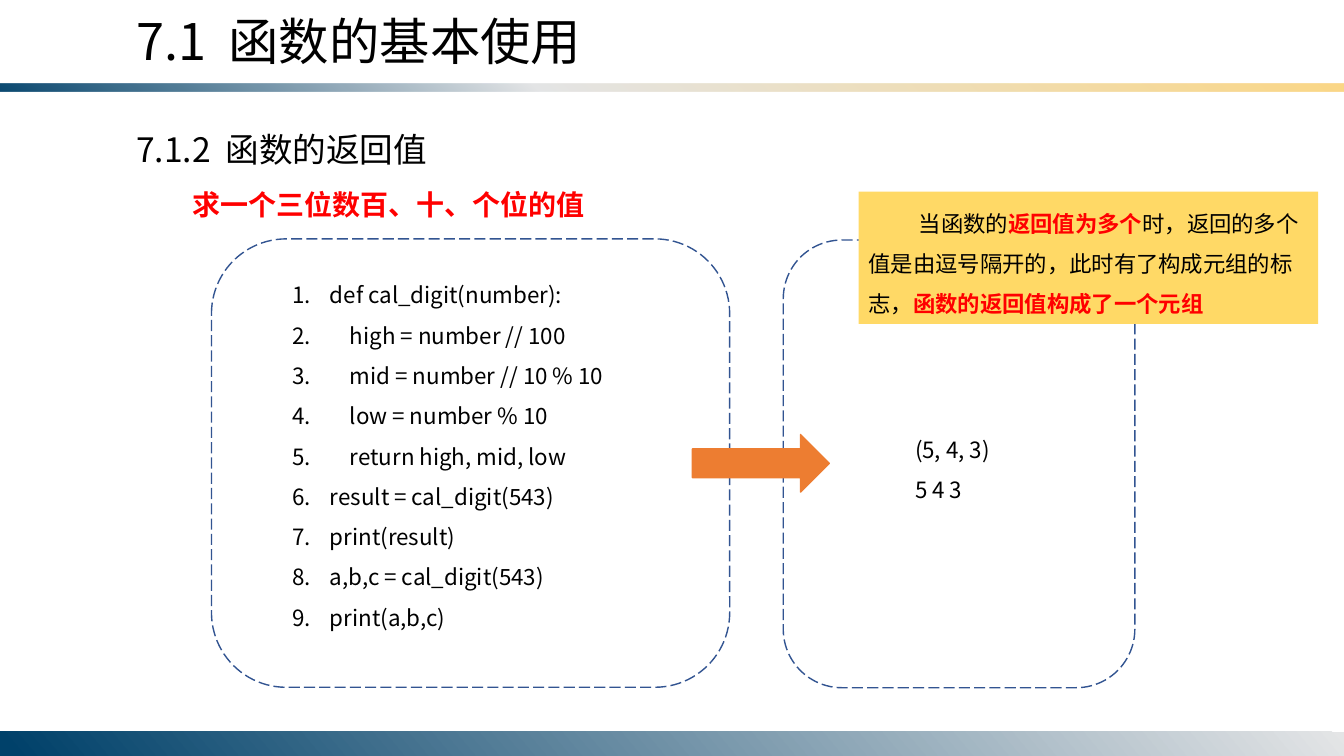
from lxml.etree import SubElement
from pptx import Presentation
from pptx.dml.color import RGBColor
from pptx.enum.dml import MSO_LINE_DASH_STYLE as Dash
from pptx.enum.shapes import MSO_SHAPE as Shape
from pptx.enum.text import MSO_ANCHOR as Anchor, MSO_AUTO_SIZE as AutoSize, PP_ALIGN as Align
from pptx.oxml.ns import qn
from pptx.util import Cm, Pt

FONT = "Noto Sans CJK SC"
COLORS = {
    "black": "000000", "red": "FF0000", "outline": "325491", "orange": "ED7D31",
    "yellow": "FFD966", "navy": "00416A", "grey": "E4E5E6", "sand": "FBD786",
}


def add_shape(kind, left, top, width, height, fill=None, line=None):
    shape = page.shapes.add_shape(kind, Cm(left), Cm(top), Cm(width), Cm(height))
    shape.shadow.inherit = False
    for part, color in ((shape.fill, fill), (shape.line.fill, line)):
        if color:
            part.solid()
            part.fore_color.rgb = RGBColor.from_string(COLORS[color])
        else:
            part.background()
    if line:
        shape.line.width = Pt(1)
    return shape


def write_text(box, lines, size, spacing=1.0, indent=0, numbered=False):
    frame = box.text_frame
    frame.word_wrap = True
    frame.auto_size = AutoSize.NONE
    frame.vertical_anchor = Anchor.TOP
    for index, pieces in enumerate(lines):
        para = frame.add_paragraph() if index else frame.paragraphs[0]
        properties = para._p.get_or_add_pPr()
        properties.set("marL", str(Cm(0.95) if numbered else 0))
        properties.set("indent", str(Cm(-0.95) if numbered else Cm(indent)))
        if numbered:
            SubElement(properties, qn("a:buAutoNum"), type="arabicPeriod")
        para.alignment = Align.LEFT
        para.line_spacing = spacing
        para.space_before = Pt(0)
        for text, color in pieces:
            span = para.add_run()
            span.text = text
            span.font.size = Pt(size)
            span.font.bold = color == "red"
            span.font.color.rgb = RGBColor.from_string(COLORS[color])
            span.font.name = FONT
            SubElement(span._r.get_or_add_rPr(), qn("a:ea"), typeface=FONT)
            if text == " ":
                span._r.get_or_add_rPr().set("spc", str(size * 22))


deck = Presentation()
deck.slide_width, deck.slide_height = Cm(33.87), Cm(19.05)
page = deck.slides.add_slide(deck.slide_layouts[1])
title, code = page.placeholders

bars = [
    (2.11, 0.2, 50, [(0, "navy", 95), (40, "grey", 100), (100, "sand", 100)]),
    (18.44, 0.61, 140, [(0, "grey", 100), (99, "navy", 100)]),
]
for top, height, angle, stops in bars:
    bar = add_shape(Shape.RECTANGLE, 0, top, 33.87, height)
    bar.fill.gradient()
    gradient = bar._element.spPr.find(qn("a:gradFill"))
    for child in list(gradient):
        gradient.remove(child)
    stop_list = SubElement(gradient, qn("a:gsLst"))
    for position, color, opacity in stops:
        stop = SubElement(stop_list, qn("a:gs"), pos=str(position * 1000))
        tint = SubElement(stop, qn("a:srgbClr"), val=COLORS[color])
        SubElement(tint, qn("a:alpha"), val=str(opacity * 1000))
    SubElement(gradient, qn("a:lin"), ang=str(angle * 60000), scaled="0")
    if angle == 50:
        bar._element.spPr.find(qn("a:xfrm")).set("flipV", "1")

for left, top, width, height in [(5.33, 6.02, 13.06, 11.3), (19.74, 6.05, 8.86, 11.28)]:
    panel = add_shape(Shape.ROUNDED_RECTANGLE, left, top, width, height, line="outline")
    panel.line.dash_style = Dash.LONG_DASH

title.left, title.top, title.width, title.height = Cm(3.18), Cm(0.13), Cm(15.54), Cm(1.8)
write_text(title, [[("7.1", "black"), (" ", "black"), ("函数的基本使用", "black")]], 36)

code.left, code.top, code.width, code.height = Cm(7.11), Cm(6.63), Cm(9.5), Cm(9.47)
code_lines = [
    "def cal_digit(number):",
    "    high = number // 100",
    "    mid = number // 10 % 10",
    "    low = number % 10",
    "    return high, mid, low",
    "result = cal_digit(543)",
    "print(result)",
    "a,b,c = cal_digit(543)",
    "print(a,b,c)",
]
write_text(code, [[(line, "black")] for line in code_lines], 16, 1.5, numbered=True)

subtitle = page.shapes.add_textbox(Cm(3.18), Cm(3.12), Cm(8.92), Cm(1.27))
write_text(subtitle, [[("7.1.2", "black"), (" ", "black"), ("函数的返回值", "black")]], 24)

task = page.shapes.add_textbox(Cm(3.18), Cm(4.17), Cm(15.72), Cm(1.52))
write_text(task, [[("求一个三位数百、十、个位的值", "red")]], 20, 1.5, 1.42)

output = page.shapes.add_textbox(Cm(22.81), Cm(10.52), Cm(2.77), Cm(2.31))
write_text(output, [[("(5, 4, 3)", "black")], [("5 4 3", "black")]], 16, 1.5)

add_shape(Shape.RIGHT_ARROW, 17.45, 10.95, 3.45, 1.45, "orange", "orange")

note = add_shape(Shape.RECTANGLE, 21.64, 4.83, 11.58, 3.33, "yellow")
write_text(note, [[
    ("当函数的", "black"),
    ("返回值为多个", "red"),
    ("时，返回的多个值是由逗号隔开的，此时有了构成元组的标志，", "black"),
    ("函数的返回值构成了一个元组", "red"),
]], 16, 1.5, 1.27)

deck.save("out.pptx")
